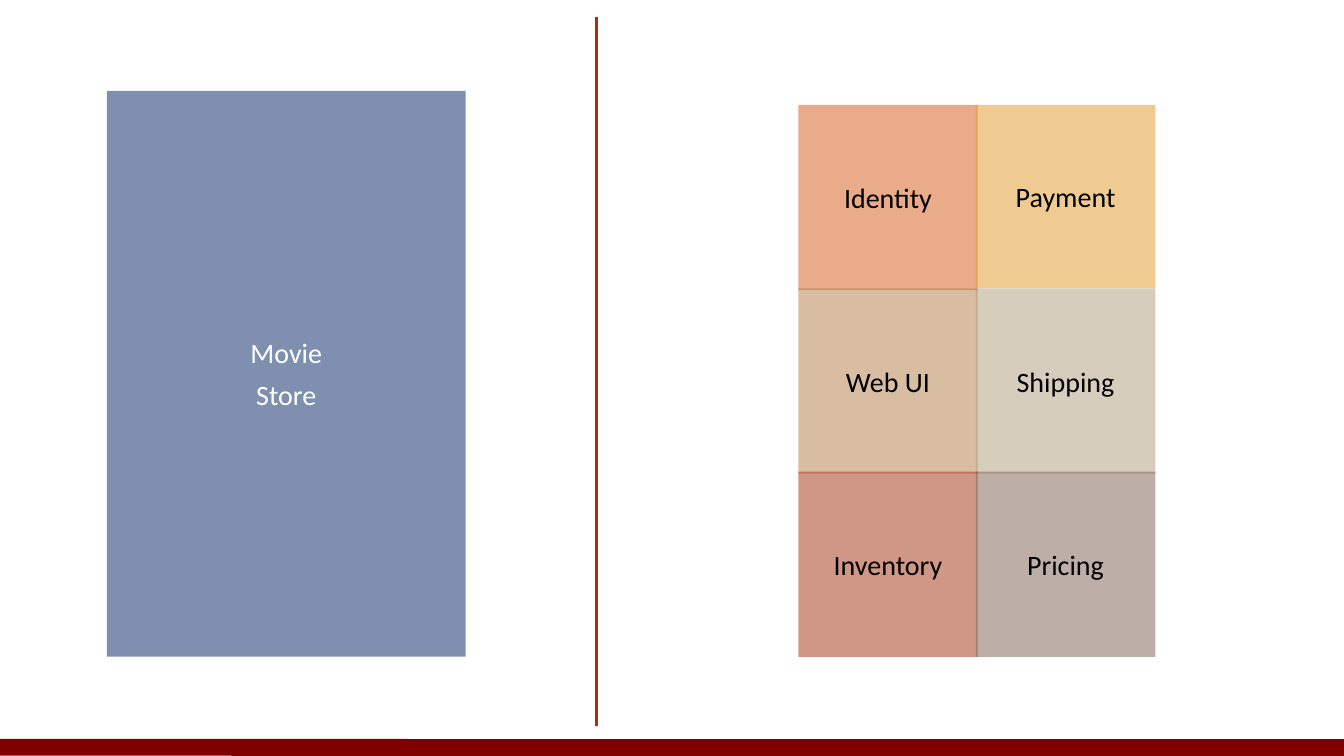
"""Build a slide contrasting one movie store block with a grid of six services."""
from lxml import etree
from pptx import Presentation
from pptx.dml.color import RGBColor
from pptx.enum.shapes import MSO_CONNECTOR, MSO_SHAPE
from pptx.enum.text import MSO_ANCHOR, PP_ALIGN
from pptx.oxml.ns import qn
from pptx.util import Pt

STRAIGHT = MSO_CONNECTOR.STRAIGHT
RECTANGLE = MSO_SHAPE.RECTANGLE
MIDDLE = MSO_ANCHOR.MIDDLE
CENTER = PP_ALIGN.CENTER

SLIDE_WIDTH, SLIDE_HEIGHT = 960, 540
GRID_LEFT, GRID_TOP = 570.2, 74.9
COLUMN_STEP, ROW_STEP = 126.8, 131
CELL_WIDTH, CELL_HEIGHT = 128.2, 132.4
INSET = 14.4


def color(hex_string):
    return RGBColor.from_string(hex_string)


def add_block(slide, left, top, width, height, lines, fill, text_color):
    box = slide.shapes.add_shape(RECTANGLE, Pt(left), Pt(top), Pt(width), Pt(height))
    box.shadow.inherit = False
    box.line.fill.background()
    box.fill.solid()
    box.fill.fore_color.rgb = color(fill)
    fill_color = box.fill._xPr.find(qn("a:solidFill"))[0]
    etree.SubElement(fill_color, qn("a:alpha")).set("val", "50000")

    frame = box.text_frame
    frame.word_wrap = True
    frame.vertical_anchor = MIDDLE
    frame.margin_left = frame.margin_right = Pt(INSET)
    frame.margin_top = frame.margin_bottom = Pt(INSET)
    frame.text = "\n".join(lines)
    for index, para in enumerate(frame.paragraphs):
        para.alignment = CENTER
        para.space_before = Pt(6 if index else 0)
        para.font.name = "Calibri"
        para.font.size = Pt(20)
        para.font.color.rgb = color(text_color)


deck = Presentation()
deck.slide_width = Pt(SLIDE_WIDTH)
deck.slide_height = Pt(SLIDE_HEIGHT)
slide = deck.slides.add_slide(deck.slide_layouts[6])

rules = [
    (0, 533.8, SLIDE_WIDTH, 534, "800000", 12),
    (425.8, 12, 425.8, 518.4, "A5300F", 2),
]
for start_x, start_y, end_x, end_y, line_color, line_width in rules:
    rule = slide.shapes.add_connector(
        STRAIGHT, Pt(start_x), Pt(start_y), Pt(end_x), Pt(end_y)
    )
    rule.line.color.rgb = color(line_color)
    rule.line.width = Pt(line_width)
    etree.SubElement(rule._element.spPr, qn("a:effectLst"))

add_block(slide, 76.4, 65, 256.2, 404, ["Movie", "Store"], "002060", "FFFFFF")

services = [
    [("Identity", "D55816"), ("Payment", "E19825")],
    [("Web UI", "B27D49"), ("Shipping", "B19C7D")],
    [("Inventory", "A5300F"), ("Pricing", "7F5F52")],
]
for row, row_services in enumerate(services):
    for column, (name, fill) in enumerate(row_services):
        left = GRID_LEFT + column * COLUMN_STEP
        top = GRID_TOP + row * ROW_STEP
        height = 131 if name == "Payment" else CELL_HEIGHT
        add_block(slide, left, top, CELL_WIDTH, height, [name], fill, "000000")

deck.save("out.pptx")
